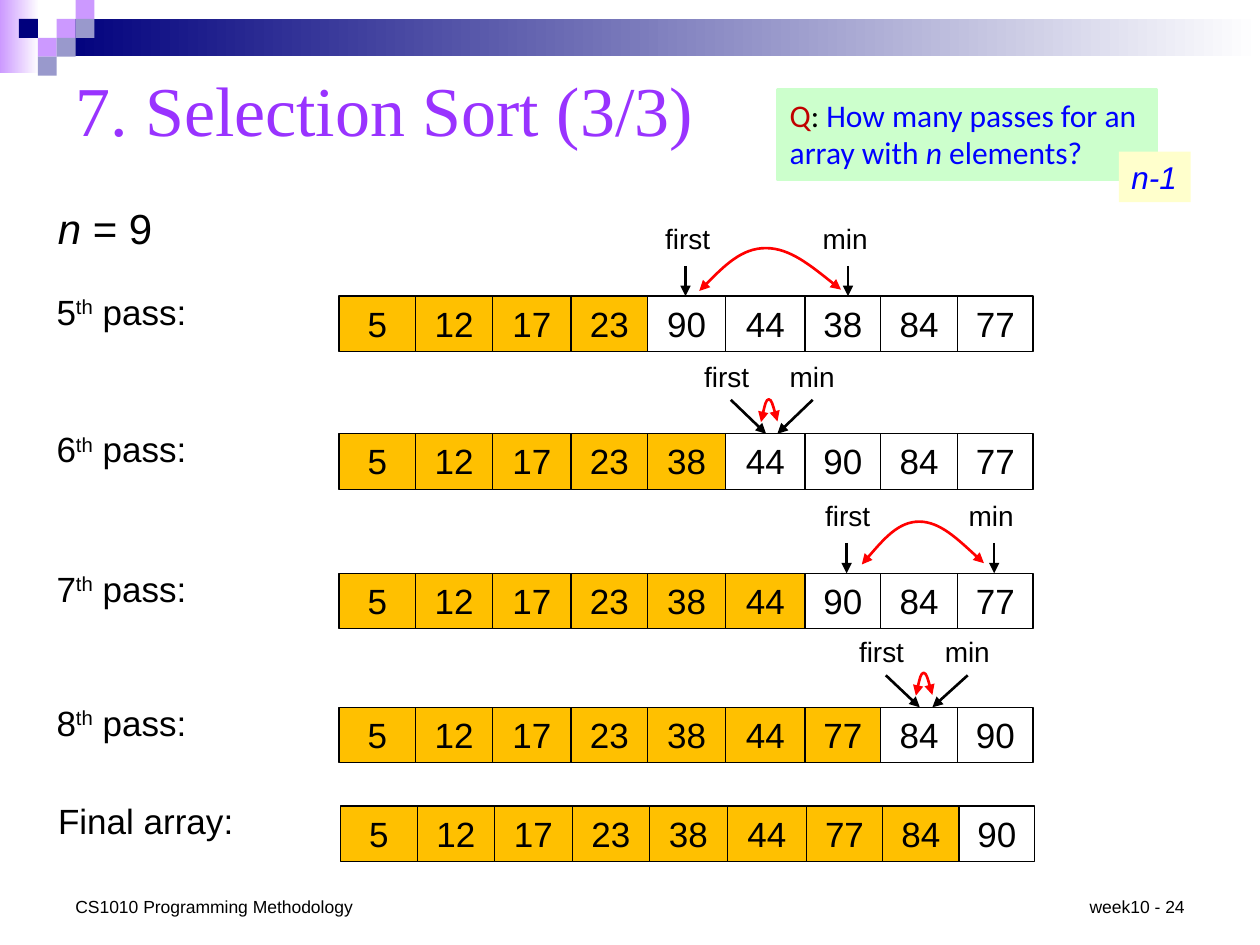
from lxml.etree import SubElement
from pptx import Presentation
from pptx.dml.color import RGBColor
from pptx.enum.shapes import MSO_CONNECTOR as CONNECTOR, MSO_SHAPE as SHAPE
from pptx.enum.text import MSO_ANCHOR as ANCHOR, PP_ALIGN as ALIGN
from pptx.oxml.ns import qn
from pptx.util import Pt

COLORS = {
    "black": "000000", "red": "FF0000", "dark_red": "C00000", "blue": "0000FF",
    "violet": "9933FF", "orange": "FFC000", "white": "FFFFFF", "navy": "00007D",
    "lilac": "CC99FF", "slate": "9999CC", "mint": "CCFFCC", "cream": "FFFFCC",
}
RGB = {name: RGBColor.from_string(code) for name, code in COLORS.items()}

prs = Presentation()
prs.slide_width, prs.slide_height = Pt(720), Pt(540)
slide = prs.slides.add_slide(prs.slide_layouts[6])
shapes = slide.shapes


def write(box, runs, size, color="black", font="Arial", align=ALIGN.LEFT,
          anchor=ANCHOR.TOP, wrap=True):
    frame = box.text_frame
    frame.word_wrap = wrap
    frame.vertical_anchor = anchor
    paragraph = frame.paragraphs[0]
    paragraph.alignment = align
    paragraph.font.size = Pt(size)
    paragraph.font.name = font
    paragraph.font.color.rgb = RGB[color]
    for text, style in runs:
        run = paragraph.add_run()
        run.text = text
        if style == "italic":
            run.font.italic = True
        elif style == "super":
            run.font._element.set("baseline", "30000")
        elif style:
            run.font.color.rgb = RGB[style]
    return box


def draw_stroke(stroke, color, ends):
    stroke.line.color.rgb = RGB[color]
    stroke.line.width = Pt(1.5)
    properties = stroke._element.spPr
    for end in ends:
        SubElement(properties.find(qn("a:ln")), qn(f"a:{end}"), type="triangle")
    if properties.find(qn("a:effectLst")) is None:
        SubElement(properties, qn("a:effectLst"))


for left, top, width, height, color in [(0, 0, 22.5, 41.8, "lilac"),
                                        (32.4, 10.8, 687.6, 21.4, "navy")]:
    band = shapes.add_shape(SHAPE.RECTANGLE, Pt(left), Pt(top), Pt(width), Pt(height))
    band.shadow.inherit = False
    band.line.fill.background()
    band.fill.gradient()
    band.fill.gradient_angle = 0
    for stop, position, shade in zip(band.fill.gradient_stops, (0, 1), (color, "white")):
        stop.position = position
        stop.color.rgb = RGB[shade]

TILE = 10.8
for column, row, color in [(3, 1, "lilac"), (4, 0, "lilac"), (4, 1, "slate"),
                           (2, 2, "lilac"), (1, 1, "navy"), (3, 2, "slate"),
                           (2, 3, "slate")]:
    tile = shapes.add_shape(SHAPE.RECTANGLE, Pt(column * TILE), Pt(row * TILE),
                            Pt(TILE), Pt(TILE))
    tile.shadow.inherit = False
    tile.line.fill.background()
    tile.fill.solid()
    tile.fill.fore_color.rgb = RGB[color]

write(shapes.add_textbox(Pt(26), Pt(112.3), Pt(100), Pt(36)),
      [("n", "italic"), (" = 9", None)], 24)

EDGES = [193.7, 237.6, 281.5, 326.2, 370.1, 414.7, 460.1, 503.3, 547.2, 590.4]
CELL_HEIGHT = 31.7
passes = [
    (169.2, 0, [("5", None), ("th", "super"), (" pass:", None)],
     [5, 12, 17, 23, 90, 44, 38, 84, 77], 4),
    (247.9, 0, [("6", None), ("th", "super"), (" pass:", None)],
     [5, 12, 17, 23, 38, 44, 90, 84, 77], 5),
    (327.6, 0, [("7", None), ("th", "super"), (" pass:", None)],
     [5, 12, 17, 23, 38, 44, 90, 84, 77], 6),
    (404.2, 0, [("8", None), ("th", "super"), (" pass:", None)],
     [5, 12, 17, 23, 38, 44, 77, 84, 90], 7),
    (460.6, 0.9, [("Final array:", None)],
     [5, 12, 17, 23, 38, 44, 77, 84, 90], 8),
]
for top, shift, label, values, sorted_count in passes:
    for index, value in enumerate(values):
        left, right = EDGES[index:index + 2]
        cell = shapes.add_shape(SHAPE.RECTANGLE, Pt(left + shift), Pt(top),
                                Pt(right - left), Pt(CELL_HEIGHT))
        cell.shadow.inherit = False
        cell.line.color.rgb = RGB["black"]
        cell.line.width = Pt(0.75)
        if index < sorted_count:
            cell.fill.solid()
            cell.fill.fore_color.rgb = RGB["orange"]
        else:
            cell.fill.background()
        write(cell, [(str(value), None)], 20, align=ALIGN.CENTER)
    write(shapes.add_textbox(Pt(25.2 + shift), Pt(top - 7), Pt(126), Pt(CELL_HEIGHT)),
          label, 20)

swaps = [
    (169.2, -46.1, (373, 391.7, 391.7), (463, 484.6, 484.6), -17.3, (399.6, -27.4, 81, 24.5)),
    (247.9, -46.1, (395.3, 417.6, 437.8), (444.2, 464.4, 444.2), -19.4, (434.9, -19.7, 9.4, 13)),
    (327.6, -46.1, (464.4, 483.8, 483.8), (546.5, 568.1, 568.1), -17.3, (492.5, -29.5, 69.8, 24.5)),
    (404.2, -45, (483.8, 506.2, 525.6), (532.8, 553, 532.8), -18.3, (523.4, -19.7, 9.4, 13)),
]
for top, label_rise, first, minimum, tail_rise, (left, rise, width, height) in swaps:
    for name, (label_left, start, tip), label_width in [("first", first, 44.6),
                                                        ("min", minimum, 40.3)]:
        write(shapes.add_textbox(Pt(label_left), Pt(top + label_rise),
                                 Pt(label_width), Pt(26.6)),
              [(name, None)], 16, wrap=name != "min")
        pointer = shapes.add_connector(CONNECTOR.STRAIGHT, Pt(start), Pt(top + tail_rise),
                                       Pt(tip), Pt(top))
        draw_stroke(pointer, "black", ["tailEnd"])

    outline = shapes.build_freeform(Pt(left), Pt(top + rise + height))
    outline.add_line_segments([(Pt(left + width * 0.47), Pt(top + rise)),
                               (Pt(left + width), Pt(top + rise + height * 0.97))],
                              close=False)
    arc = outline.convert_to_shape()
    arc.fill.background()
    arc.shadow.inherit = False
    bends = [[(0.15, 0.5), (0.3, 0)], [(0.64, 0), (0.82, 0.5)]]
    for segment, controls in zip(list(arc._element.iter(qn("a:lnTo"))), bends):
        segment.tag = qn("a:cubicBezTo")
        for position, (x, y) in enumerate(controls):
            point = SubElement(segment, qn("a:pt"), x=str(Pt(width * x)), y=str(Pt(height * y)))
            segment.insert(position, point)
    draw_stroke(arc, "red", ["headEnd", "tailEnd"])

write(shapes.add_textbox(Pt(36), Pt(30.2), Pt(648), Pt(63.4)),
      [("7. Selection Sort (3/3)", None)], 40, "violet", "Times New Roman",
      anchor=ANCHOR.MIDDLE)
write(shapes.add_textbox(Pt(36), Pt(508.3), Pt(174.2), Pt(19.4)),
      [("CS1010 Programming Methodology", None)], 10, anchor=ANCHOR.BOTTOM)

question = shapes.add_textbox(Pt(444.2), Pt(51.1), Pt(216.5), Pt(51.1))
question.fill.solid()
question.fill.fore_color.rgb = RGB["mint"]
question.line.color.rgb = RGB["mint"]
question.line.width = Pt(2)
write(question, [("Q", "dark_red"), (": ", "black"),
                 ("How many passes for an array with ", None), ("n", "italic"),
                 (" elements?", None)], 18, "blue", "Calibri")

answer = shapes.add_textbox(Pt(639.4), Pt(86.6), Pt(41), Pt(29))
answer.fill.solid()
answer.fill.fore_color.rgb = RGB["cream"]
write(answer, [("n-1", "italic")], 18, "blue")

write(shapes.add_textbox(Pt(612.7), Pt(508.3), Pt(71.3), Pt(19.4)),
      [("week10 - 24", None)], 10, align=ALIGN.RIGHT, anchor=ANCHOR.BOTTOM, wrap=False)

prs.save("out.pptx")
